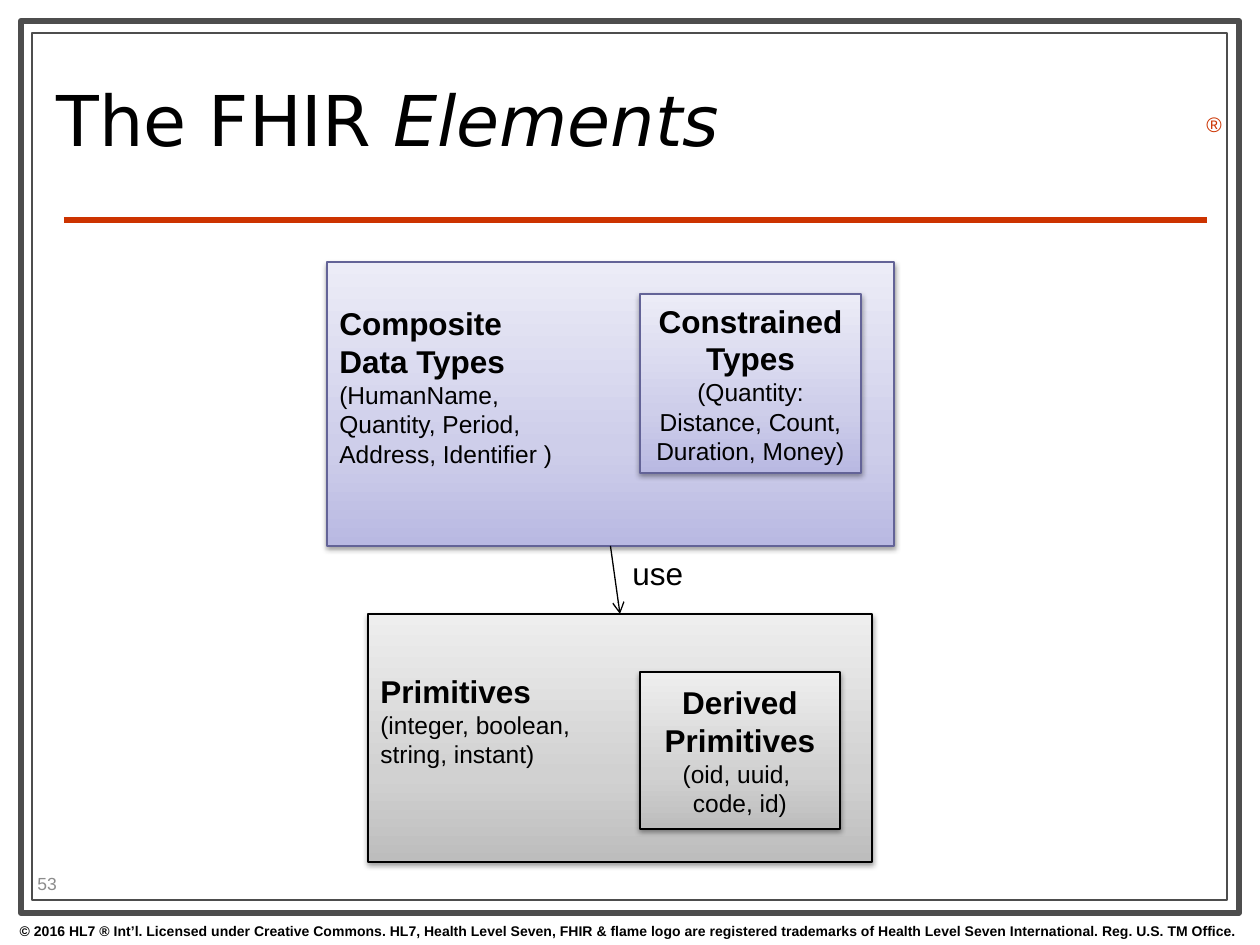
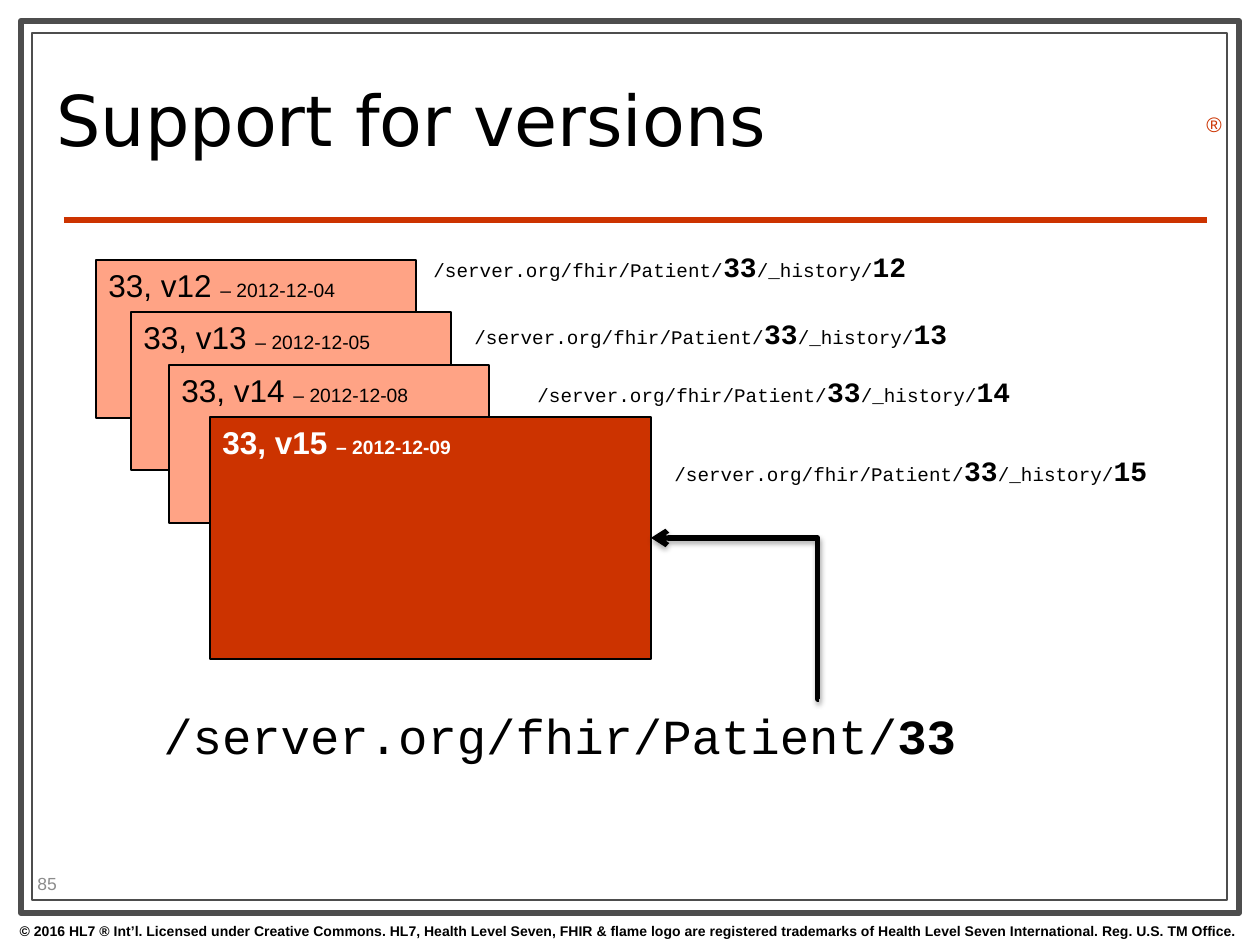
import copy

import pptx
import pptx.dml.color
import pptx.enum.shapes
import pptx.enum.text
import pptx.oxml
import pptx.oxml.ns
import pptx.util

RGB = pptx.dml.color.RGBColor
ALIGN = pptx.enum.text.PP_ALIGN
ANCHOR = pptx.enum.text.MSO_ANCHOR
RECTANGLE = pptx.enum.shapes.MSO_SHAPE.RECTANGLE
CONNECTOR = pptx.enum.shapes.MSO_CONNECTOR

PX_PER_INCH = 126
BLACK, WHITE = RGB(0, 0, 0), RGB(255, 255, 255)
FRAME_GREY, NUMBER_GREY = RGB(0x4D, 0x4D, 0x4D), RGB(0x8C, 0x8C, 0x8C)
RED, SALMON = RGB(0xCC, 0x33, 0x00), RGB(0xFF, 0xA3, 0x85)
VIOLET_LINE = RGB(0x63, 0x63, 0x97)
GREY_STOPS = [(0, RGB(0xBD, 0xBD, 0xBD)), (0.35, RGB(0xD1, 0xD1, 0xD1)), (1, RGB(0xEE, 0xEE, 0xEE))]
VIOLET_STOPS = [(0, RGB(0xB9, 0xB9, 0xE2)), (0.35, RGB(0xCE, 0xCE, 0xEA)), (1, RGB(0xEC, 0xEC, 0xF7))]
SANS, MONO, TITLE_FONT = "Arial", "Courier New", "DejaVu Sans"
EMPHASIS = {"bold": True}

COPYRIGHT = (
    "© 2016 HL7 ® Int’l. Licensed under Creative Commons. HL7, Health Level Seven, FHIR & flame logo "
    "are registered trademarks of Health Level Seven International. Reg. U.S. TM Office."
)

# (left, top, width, height), heading, details, alignment, gradient, line colour, bottom inset
ELEMENT_BOXES = {
    "primitives": ((368, 614, 504, 248), "Primitives", "(integer, boolean,\nstring, instant)",
                   ALIGN.LEFT, GREY_STOPS, BLACK, 42),
    "derived": ((640, 672, 200, 157), "Derived Primitives", "(oid, uuid, \ncode, id)",
                ALIGN.CENTER, GREY_STOPS, BLACK, 6),
    "composite": ((327, 262, 567, 284), "Composite\nData Types",
                  "(HumanName,\nQuantity, Period,\nAddress, Identifier )",
                  ALIGN.LEFT, VIOLET_STOPS, VIOLET_LINE, 42),
    "constrained": ((640, 294, 221, 179), "Constrained Types", "(Quantity: Distance, Count, Duration, Money)",
                    ALIGN.CENTER, VIOLET_STOPS, VIOLET_LINE, 6),
}

RESOURCE = "/server.org/fhir/Patient/"
# version, date, card left and top, address left and top
VERSIONS = [
    (12, "2012-12-04", (96, 260), (421, 243)),
    (13, "2012-12-05", (131, 312), (462, 310)),
    (14, "2012-12-08", (169, 365), (525, 368)),
    (15, "2012-12-09", (210, 417), (662, 447)),
]
OLD_CARD, CURRENT_CARD, ADDRESS = (320, 158), (441, 242), (599, 47)


def px(count):
    return pptx.util.Emu(round(count * 914400 / PX_PER_INCH))


def px_all(counts):
    return [px(count) for count in counts]


def set_font(font, **values):
    for name, value in values.items():
        if name == "color":
            font.color.rgb = value
        else:
            setattr(font, name, pptx.util.Pt(value) if name == "size" else value)


def write(frame, paragraphs, align=ALIGN.LEFT, anchor=ANCHOR.TOP, **shared):
    """Each paragraph is (spans, font values); a span is text or (text, font values)."""
    frame.word_wrap = True
    frame.vertical_anchor = anchor
    for index, (spans, values) in enumerate(paragraphs):
        para = frame.add_paragraph() if index else frame.paragraphs[0]
        para.alignment = align
        set_font(para.font, **{"name": SANS, "color": BLACK, **shared, **values})
        if isinstance(spans, str):
            para.text = spans
            continue
        for item in spans:
            text, own_values = (item, {}) if isinstance(item, str) else item
            span = para.add_run()
            span.text = text
            set_font(span.font, **own_values)


def add_text(page, place, spans, align=ALIGN.LEFT, anchor=ANCHOR.TOP, **values):
    box = page.shapes.add_textbox(*px_all(place))
    write(box.text_frame, [(spans, values)], align, anchor)
    return box


def add_rectangle(page, place, line_color=BLACK, line_width=0.75, fill=None):
    box = page.shapes.add_shape(RECTANGLE, *px_all(place))
    box.shadow.inherit = False
    box.line.color.rgb = line_color
    box.line.width = pptx.util.Pt(line_width)
    if fill is None:
        box.fill.background()
    else:
        box.fill.solid()
        box.fill.fore_color.rgb = fill
    return box


def add_line(page, start, end, color=BLACK, width=0.75, kind=CONNECTOR.STRAIGHT, arrow=False):
    line = page.shapes.add_connector(kind, *px_all(start + end))
    line.line.color.rgb = color
    line.line.width = pptx.util.Pt(width)
    line._element.spPr.get_or_add_effectLst()
    if arrow:
        outline = line._element.spPr.find(pptx.oxml.ns.qn("a:ln"))
        outline.append(pptx.oxml.parse_xml(f'<a:tailEnd {pptx.oxml.ns.nsdecls("a")} type="arrow"/>'))
    return line


def add_shadow(item, opacity, distance):
    item._element.spPr.get_or_add_effectLst().append(pptx.oxml.parse_xml(
        f'<a:outerShdw {pptx.oxml.ns.nsdecls("a")} blurRad="40000" dist="{distance}" dir="5400000" '
        f'rotWithShape="0"><a:srgbClr val="000000"><a:alpha val="{opacity * 1000}"/></a:srgbClr>'
        '</a:outerShdw>'))


def fill_upward(box, stops):
    """Fill with a three-stop gradient that runs from bottom to top."""
    box.fill.gradient()
    box.fill.gradient_angle = 90
    stop_list = box._element.spPr.find(".//" + pptx.oxml.ns.qn("a:gsLst"))
    stop_list.insert(1, copy.deepcopy(stop_list[0]))
    for stop, (position, color) in zip(box.fill.gradient_stops, stops):
        stop.position = position
        stop.color.rgb = color


def add_page(deck, title_spans, number):
    page = deck.slides.add_slide(deck.slide_layouts[5])
    add_rectangle(page, (21, 21, 1218, 892), FRAME_GREY, 3.5)
    add_rectangle(page, (32, 33, 1195, 867), FRAME_GREY)
    add_line(page, (64, 220), (1207, 220), RED, 3)
    add_text(page, (-1, 916, 1260, 29), COPYRIGHT, ALIGN.CENTER, size=8, bold=True)
    add_text(page, (1194, 105, 39, 38), "®", size=12, color=RED)
    add_text(page, (25, 868, 100, 30), number, anchor=ANCHOR.MIDDLE, size=10, color=NUMBER_GREY)

    title = page.shapes.title
    title.left, title.top, title.width, title.height = px_all((44, 45, 903, 163))
    title.text_frame.auto_size = pptx.enum.text.MSO_AUTO_SIZE.NONE
    write(title.text_frame, [(title_spans, {"size": 40})], anchor=ANCHOR.MIDDLE, name=TITLE_FONT)
    title.text_frame.paragraphs[0].line_spacing = 0.8
    return page


def add_elements_page(deck):
    page = add_page(deck, ["The FHIR ", ("Elements", {"italic": True})], "53")
    boxes = {}
    for name, (place, heading, details, align, stops, line_color, bottom) in ELEMENT_BOXES.items():
        box = boxes[name] = add_rectangle(page, place, line_color)
        fill_upward(box, stops)
        add_shadow(box, 38, 20000)
        box.text_frame.margin_bottom = px(bottom)
        write(box.text_frame, [(heading, {"size": 18, "bold": True}), (details, {"size": 14})],
              align, ANCHOR.MIDDLE)
    arrow = add_line(page, (611, 546), (620, 614), arrow=True)
    arrow.begin_connect(boxes["composite"], 2)
    arrow.end_connect(boxes["primitives"], 0)
    add_text(page, (620, 548, 77, 50), "use", size=18).text_frame.word_wrap = False


def add_versions_page(deck):
    page = add_page(deck, "Support for versions", "85")
    large = {"size": 16, **EMPHASIS}
    for version, date, card_corner, address_corner in VERSIONS:
        current = version == VERSIONS[-1][0]
        card = add_rectangle(page, card_corner + (CURRENT_CARD if current else OLD_CARD),
                             fill=RED if current else SALMON)
        spans = [(f"33, v{version} ", {"size": 18}), (f"– {date}", {"size": 11})]
        write(card.text_frame, [(spans, {"bold": current, "color": WHITE if current else BLACK})])
        add_text(page, address_corner + ADDRESS,
                 [RESOURCE, ("33", large), "/_history/", (str(version), large)], name=MONO, size=11)

    add_text(page, (151, 699, 867, 72), [RESOURCE, ("33", EMPHASIS)], name=MONO, size=28)
    pointer = add_line(page, (819, 699), (651, 538), width=3, kind=CONNECTOR.ELBOW, arrow=True)
    add_shadow(pointer, 35, 23000)
    guides = pointer._element.spPr.find(".//" + pptx.oxml.ns.qn("a:avLst"))
    guides.append(pptx.oxml.parse_xml(f'<a:gd {pptx.oxml.ns.nsdecls("a")} name="adj1" fmla="val 800"/>'))


def main():
    deck = pptx.Presentation()
    deck.slide_width, deck.slide_height = px(1260), px(945)
    add_elements_page(deck)
    add_versions_page(deck)
    deck.save("out.pptx")


if __name__ == "__main__":
    main()
